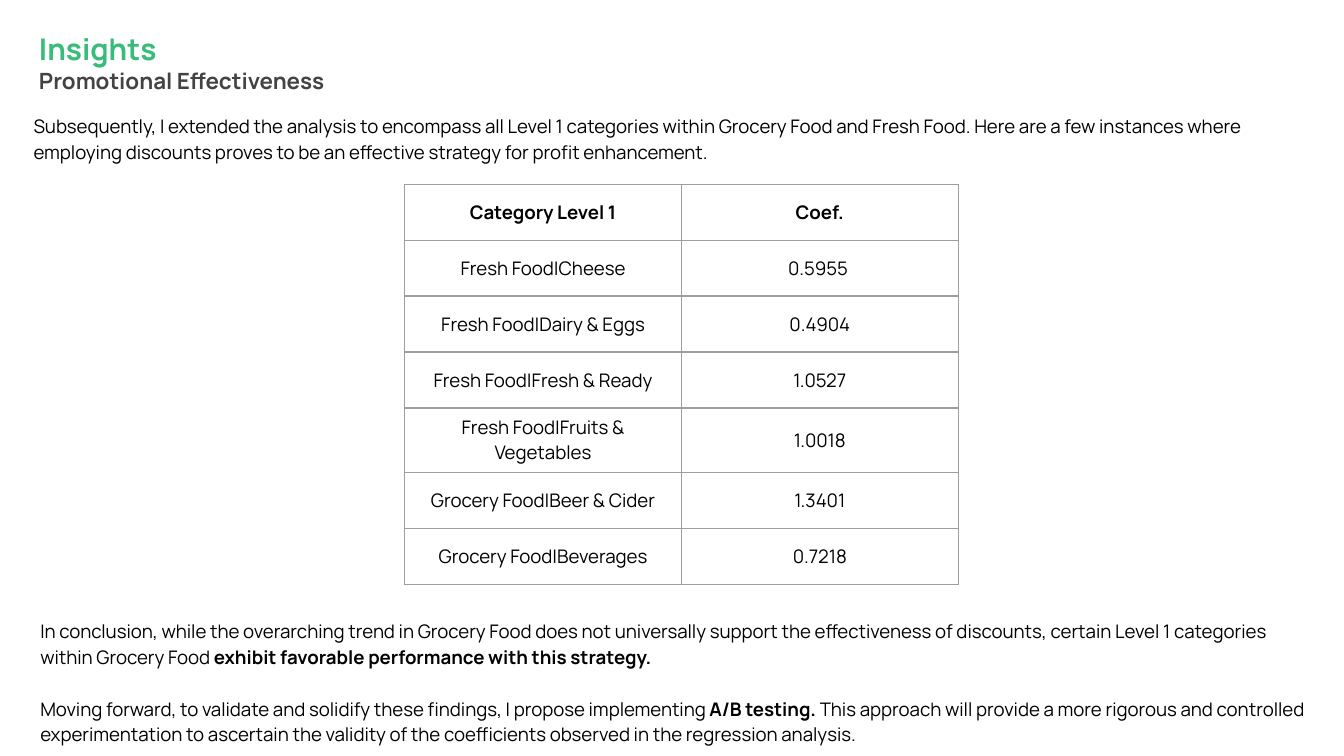
from dataclasses import dataclass

from lxml.etree import SubElement
from pptx import Presentation
from pptx.dml.color import RGBColor
from pptx.enum.text import MSO_ANCHOR, MSO_AUTO_SIZE, PP_ALIGN
from pptx.oxml.ns import qn
from pptx.util import Inches, Pt


@dataclass(frozen=True)
class Theme:
    font: str = "Manrope"
    accent: str = "39BB7A"
    subtitle: str = "434343"
    text: str = "000000"
    border: str = "9E9E9E"
    title_size: float = 16
    subtitle_size: float = 12
    body_size: float = 10
    border_width: float = 0.75
    body_spacing: float = 1.15


THEME = Theme()

INTRO = [[(
    "Subsequently, I extended the analysis to encompass all Level 1 categories within "
    "Grocery Food and Fresh Food. Here are a few instances where employing discounts "
    "proves to be an effective strategy for profit enhancement.", False)]]

CONCLUSION = [
    [("In conclusion, while the overarching trend in Grocery Food does not universally "
      "support the effectiveness of discounts, certain Level 1 categories within "
      "Grocery Food ", False),
     ("exhibit favorable performance with this strategy.", True)],
    [("Moving forward, to validate and solidify these findings, I propose implementing ",
      False),
     ("A/B testing.", True),
     (" This approach will provide a more rigorous and controlled experimentation to "
      "ascertain the validity of the coefficients observed in the regression analysis.",
      False)],
]

COEFFICIENTS = [
    ("Category Level 1", "Coef."),
    ("Fresh Food|Cheese", "0.5955 "),
    ("Fresh Food|Dairy & Eggs", "0.4904"),
    ("Fresh Food|Fresh & Ready", "1.0527"),
    ("Fresh Food|Fruits & Vegetables", "1.0018"),
    ("Grocery Food|Beer & Cider", "1.3401"),
    ("Grocery Food|Beverages", "0.7218"),
]


def add_run(paragraph, text, size=THEME.body_size, color=THEME.text, bold=False):
    run = paragraph.add_run()
    run.text = text
    run.font.name = THEME.font
    run.font.size = Pt(size)
    run.font.bold = bold
    run.font.color.rgb = RGBColor.from_string(color)


def prepare_frame(frame, margin):
    frame.word_wrap = True
    frame.auto_size = MSO_AUTO_SIZE.NONE
    frame.vertical_anchor = MSO_ANCHOR.TOP
    frame.margin_left = frame.margin_right = Inches(margin)
    frame.margin_top = frame.margin_bottom = Inches(margin)


def paragraph_at(frame, index):
    return frame.paragraphs[0] if index == 0 else frame.add_paragraph()


def set_title(slide):
    title = slide.shapes.title
    title.left, title.top = Inches(0.25), Inches(0.19)
    title.width, title.height = Inches(4.71), Inches(0.43)
    frame = title.text_frame
    prepare_frame(frame, 0.04)
    lines = [("Insights", THEME.title_size, THEME.accent),
             ("Promotional Effectiveness", THEME.subtitle_size, THEME.subtitle)]
    for index, (text, size, color) in enumerate(lines):
        paragraph = paragraph_at(frame, index)
        paragraph.alignment = PP_ALIGN.LEFT
        paragraph.line_spacing = 1.0
        paragraph.space_before = Pt(0)
        add_run(paragraph, text, size, color, bold=True)


def add_body(slide, left, top, paragraphs):
    box = slide.shapes.add_textbox(Inches(left), Inches(top), Inches(9.53), Inches(0.54))
    frame = box.text_frame
    prepare_frame(frame, 0)
    for index, runs in enumerate(paragraphs):
        paragraph = paragraph_at(frame, index)
        paragraph.line_spacing = THEME.body_spacing
        paragraph.space_before = Pt(13.75 if index else 0)
        for text, bold in runs:
            add_run(paragraph, text, bold=bold)


def outline_cell(cell):
    properties = cell._tc.get_or_add_tcPr()
    for position, side in enumerate(("a:lnL", "a:lnR", "a:lnT", "a:lnB")):
        line = SubElement(properties, qn(side), w=str(Pt(THEME.border_width)))
        properties.insert(position, line)
        fill = SubElement(line, qn("a:solidFill"))
        SubElement(fill, qn("a:srgbClr"), val=THEME.border)


def add_coefficient_table(slide):
    row_height, column_width = Inches(5 / 12), Inches(2.06)
    row_count, column_count = len(COEFFICIENTS), len(COEFFICIENTS[0])
    table = slide.shapes.add_table(
        row_count, column_count, Inches(3.01), Inches(1.37),
        column_width * column_count, row_height * row_count).table
    table.horz_banding = False
    for row_index, values in enumerate(COEFFICIENTS):
        table.rows[row_index].height = row_height
        for column_index, value in enumerate(values):
            cell = table.cell(row_index, column_index)
            cell.fill.background()
            cell.vertical_anchor = MSO_ANCHOR.MIDDLE
            paragraph = cell.text_frame.paragraphs[0]
            paragraph.alignment = PP_ALIGN.CENTER
            add_run(paragraph, value, bold=row_index == 0)
            outline_cell(cell)


def main():
    presentation = Presentation()
    presentation.slide_width = Inches(10)
    presentation.slide_height = Inches(10 * 9 / 16)
    title_only = presentation.slide_layouts[5]
    slide = presentation.slides.add_slide(title_only)
    set_title(slide)
    add_body(slide, 0.25, 0.83, INTRO)
    add_coefficient_table(slide)
    add_body(slide, 0.3, 4.59, CONCLUSION)
    presentation.save("out.pptx")


if __name__ == "__main__":
    main()
